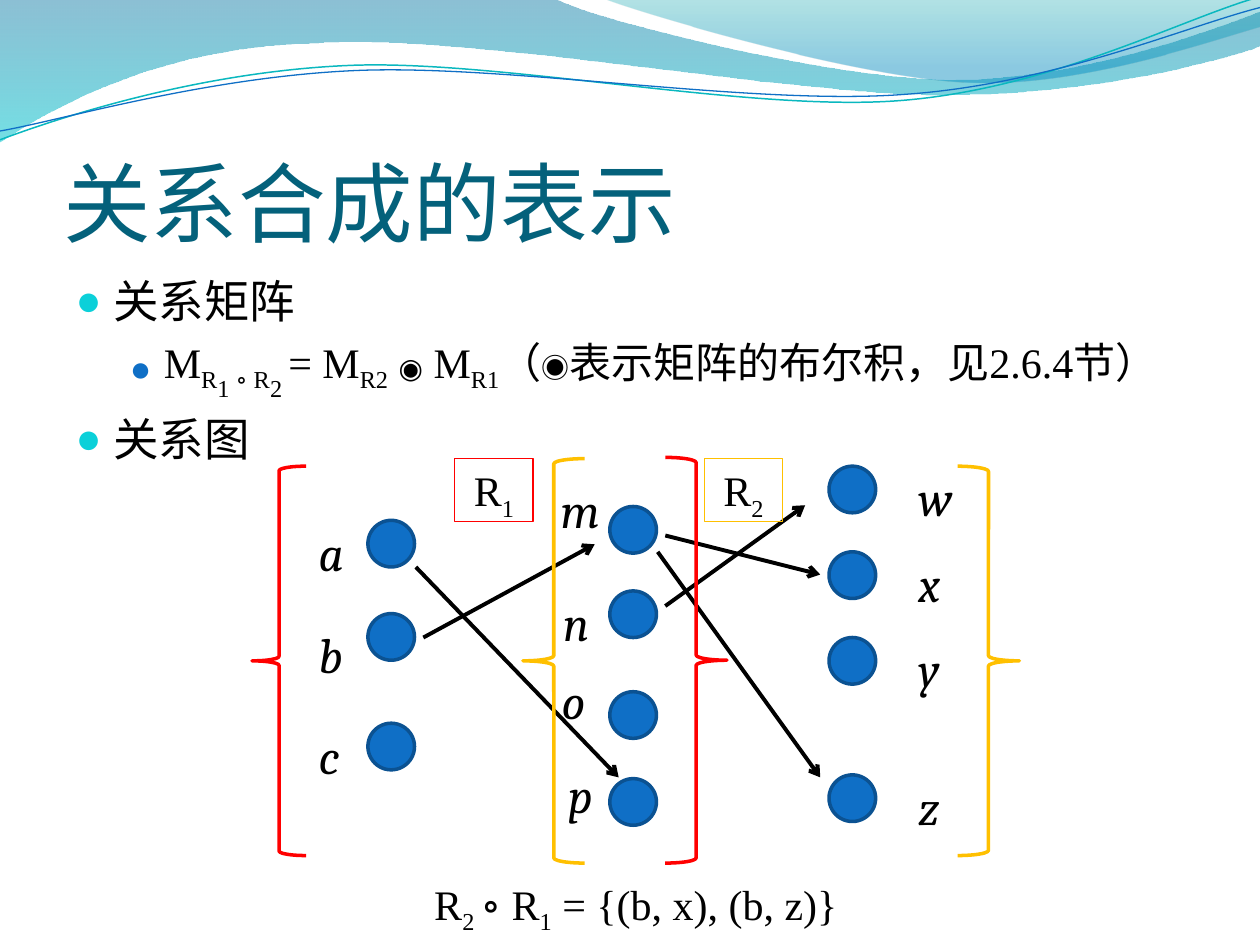
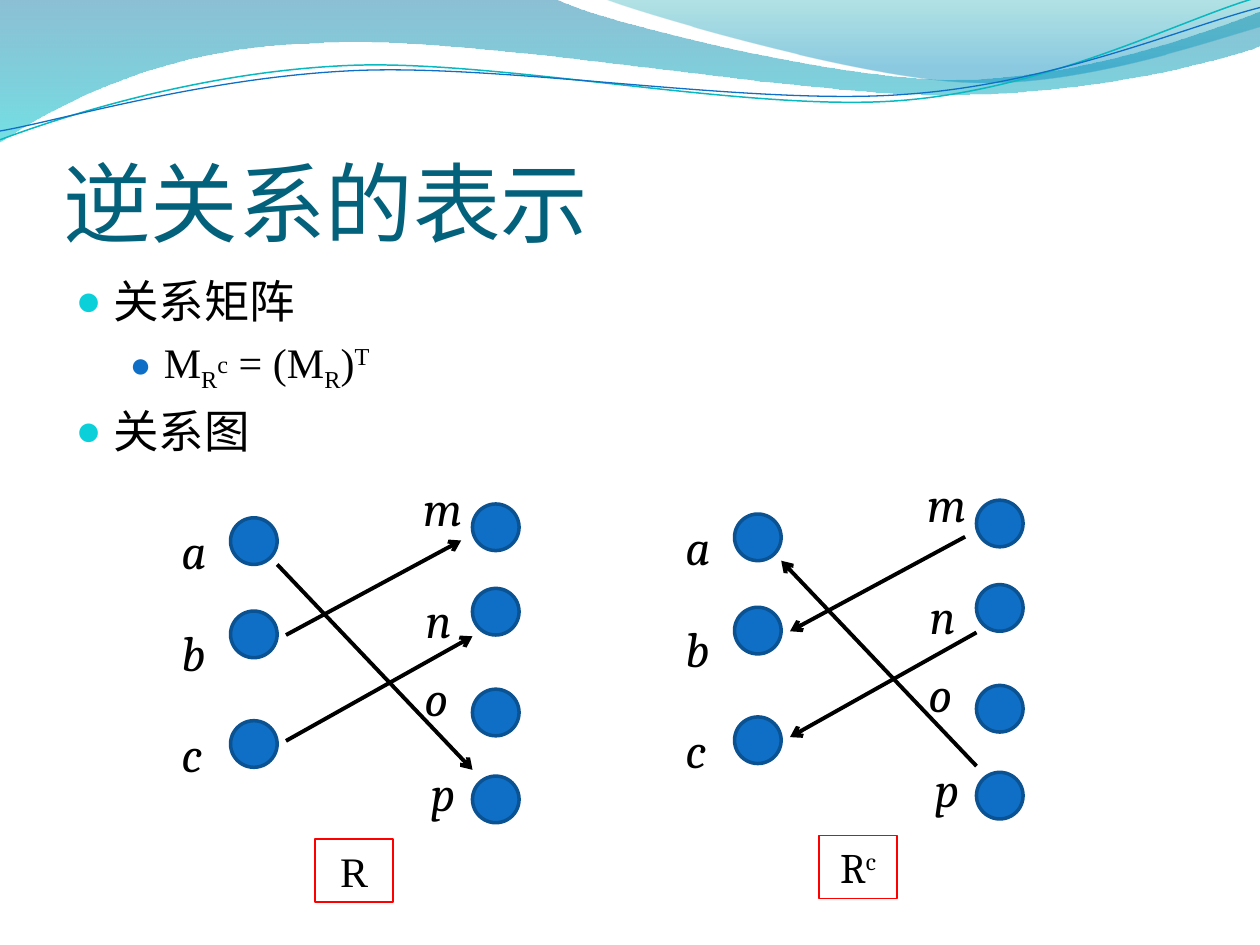
from lxml import etree
from pptx import Presentation
from pptx.dml.color import RGBColor
from pptx.enum.shapes import MSO_CONNECTOR, MSO_SHAPE
from pptx.enum.text import MSO_ANCHOR, MSO_AUTO_SIZE, PP_ALIGN
from pptx.oxml import parse_xml
from pptx.oxml.ns import nsdecls, qn
from pptx.util import Inches, Pt

TITLE_COLOR, BLACK = "04617B", "000000"
BLUE, DARK_BLUE, CYAN = "0F6FC6", "0B5292", "0BD0D9"
RED, GOLD = "FF0000", "FFC000"
CJK_FONT, SERIF, LETTER_FONT = "Noto Sans CJK SC", "Times New Roman", "Cambria"
SUB, SUBSUB, SUP = -25, -45, 30
NODE = 0.37

# Nodes and labels of the relation from {a, b, c} to {m, n, o, p}
NODES = [(1.83, y) for y in (4.11, 4.85, 5.72)] + [
    (3.75, y) for y in (4.0, 4.67, 5.47, 6.16)]
LETTERS = {
    "a": (1.34, 4.08), "b": (1.34, 4.89), "c": (1.34, 5.69),
    "m": (3.26, 3.74), "n": (3.28, 4.63), "o": (3.27, 5.25), "p": (3.32, 6.0)}
B_TO_M = (2.27, 5.04, 3.66, 4.29)
A_TO_P = (2.2, 4.48, 3.75, 6.11)
C_TO_N = (2.27, 5.88, 3.75, 5.05)

# Bullet levels: left margin, hanging indent, colour, bullet size in percent
LEVELS = [(0.3, -0.3, CYAN, 95), (0.7, -0.27, BLUE, 85)]


def color(hex_code):
    return RGBColor.from_string(hex_code)


def inches(*lengths):
    return [Inches(length) for length in lengths]


def add_wave(slide, start, *segments, closed=False):
    """Draw an outline; a pair is a straight segment, six numbers a curve."""
    builder = slide.shapes.build_freeform(*inches(*start), scale=1.0)
    builder.add_line_segments([inches(*segment[-2:]) for segment in segments], closed)
    wave = builder.convert_to_shape()
    wave.shadow.inherit = False
    straight_lines = list(wave._element.iter(qn("a:lnTo")))
    for straight, segment in zip(straight_lines, segments):
        if len(segment) == 6:
            curve = etree.Element(qn("a:cubicBezTo"))
            for x, y in zip(segment[::2], segment[1::2]):
                etree.SubElement(curve, qn("a:pt"), x=str(Inches(x) - wave.left),
                                 y=str(Inches(y) - wave.top))
            straight.getparent().replace(straight, curve)
    return wave


def fill_gradient(wave, *stops):
    """Fill downwards with stops of position, colour and opacity in percent."""
    wave.line.fill.background()
    stop_xml = "".join(
        f'<a:gs pos="{position * 1000}"><a:srgbClr val="{hex_code}">'
        f'<a:alpha val="{opacity * 1000}"/></a:srgbClr></a:gs>'
        for position, hex_code, opacity in stops)
    gradient = parse_xml(
        f'<a:gradFill {nsdecls("a")} rotWithShape="1"><a:gsLst>{stop_xml}</a:gsLst>'
        '<a:lin ang="5400000" scaled="0"/></a:gradFill>')
    wave._element.spPr.find(qn("a:custGeom")).addnext(gradient)


def outline(shape, hex_code, width):
    shape.line.color.rgb = color(hex_code)
    shape.line.width = Pt(width)


def add_header_waves(slide, layout):
    """Draw the waves and hand them to the layout that all slides share."""
    broad = add_wave(
        slide, (0, 0), (4.4, -0.01), (4.76, 0.17, 6.64, 0.63, 7.58, 0.63),
        (8.53, 0.63, 9.58, 0.26, 10, 0.09), (10.01, 0.36),
        (9.83, 0.44, 8.7, 0.76, 7.46, 0.75), (6.22, 0.75, 3.82, 0.28, 2.57, 0.34),
        (1.29, 0.36, 0.46, 0.83, -0.01, 1.13), closed=True)
    fill_gradient(broad, (0, "0074A1", 45), (100, "00C6CF", 55))
    right = add_wave(
        slide, (4.79, -0.01), (5.09, 0.11, 6.82, 0.62, 7.69, 0.65),
        (8.56, 0.69, 9.61, 0.32, 10, 0.21), (10, 0), closed=True)
    fill_gradient(right, (0, "00A1A9", 30), (80, "008BBF", 45))
    teal = add_wave(
        slide, (0, 1.11), (0.48, 0.93, 1.58, 0.57, 2.77, 0.52),
        (3.95, 0.47, 5.93, 0.89, 7.13, 0.8), (8.33, 0.71, 9.38, 0.15, 9.98, -0.02))
    blue = add_wave(
        slide, (0, 1.04), (0.47, 0.96, 1.64, 0.61, 2.83, 0.56),
        (4.03, 0.51, 5.97, 0.84, 7.17, 0.75), (8.36, 0.67, 9.41, 0.21, 10, 0.06))
    for thread, hex_code, width in ((teal, "0AB8BF", 0.85), (blue, BLUE, 0.75)):
        thread.fill.background()
        outline(thread, hex_code, width)
    for index, wave in enumerate((broad, right, teal, blue)):
        wave._element.nvSpPr.cNvPr.set("id", str(20 + index))
        layout.shapes._spTree.insert(2 + index, wave._element)


def write(paragraph, pieces, size, font=SERIF, hex_code=BLACK, italic=False):
    """Add runs; a piece is a string or (text, baseline percent[, size])."""
    for piece in pieces:
        text, baseline, *own_size = (piece, 0) if isinstance(piece, str) else piece
        run = paragraph.add_run()
        run.text = text
        run.font.size = Pt(own_size[0] if own_size else size)
        run.font.name = font
        run.font.italic = italic
        run.font.color.rgb = color(hex_code)
        properties = run._r.get_or_add_rPr()
        if baseline:
            properties.set("baseline", str(baseline * 1000))
        east_asian = etree.Element(qn("a:ea"), typeface=CJK_FONT)
        properties.find(qn("a:latin")).addnext(east_asian)


def set_bullet(paragraph, level):
    margin, indent, hex_code, percent = LEVELS[level]
    paragraph.level = level
    properties = paragraph._p.get_or_add_pPr()
    properties.set("marL", str(Inches(margin)))
    properties.set("indent", str(Inches(indent)))
    for xml in (
            f'<a:spcBef {nsdecls("a")}><a:spcPct val="20000"/></a:spcBef>',
            f'<a:buClr {nsdecls("a")}><a:srgbClr val="{hex_code}"/></a:buClr>',
            f'<a:buSzPct {nsdecls("a")} val="{percent * 1000}"/>',
            f'<a:buChar {nsdecls("a")} char="●"/>'):
        properties.append(parse_xml(xml))


def place(shape, left, top, width, height):
    shape.left, shape.top, shape.width, shape.height = inches(left, top, width, height)


def fill_placeholders(slide, heading, matrix_formula):
    title, body = slide.shapes.title, slide.placeholders[1]
    place(title, 0.5, 0.77, 9, 1.25)
    frame = title.text_frame
    frame.auto_size = MSO_AUTO_SIZE.NONE
    frame.vertical_anchor = MSO_ANCHOR.BOTTOM
    frame.margin_left = frame.margin_right = frame.margin_bottom = 0
    frame.margin_top = Inches(0.05)
    frame.paragraphs[0].alignment = PP_ALIGN.LEFT
    write(frame.paragraphs[0], [heading], 50, CJK_FONT, TITLE_COLOR)

    place(body, 0.5, 2.12, 9, 4.8)
    frame = body.text_frame
    frame.auto_size = MSO_AUTO_SIZE.NONE
    items = ((0, ["关系矩阵"], 26), (1, matrix_formula, 24), (0, ["关系图"], 26))
    for index, (level, pieces, size) in enumerate(items):
        paragraph = frame.add_paragraph() if index else frame.paragraphs[0]
        set_bullet(paragraph, level)
        write(paragraph, pieces, size)


def add_text(parent, box, pieces, size, font=SERIF, italic=False, align=PP_ALIGN.CENTER):
    textbox = parent.shapes.add_textbox(*inches(*box))
    textbox.text_frame.word_wrap = True
    paragraph = textbox.text_frame.paragraphs[0]
    paragraph.alignment = align
    write(paragraph, pieces, size, font, italic=italic)
    return textbox


def add_letter(graph, letter, x, y):
    add_text(graph, (x, y, 0.31, 0.42), [letter], 28, LETTER_FONT, True, PP_ALIGN.LEFT)


def add_relation_name(graph, x, y, pieces, border=RED, font=SERIF):
    outline(add_text(graph, (x, y, 0.62, 0.5), pieces, 24, font), border, 0.75)


def add_node(graph, x, y):
    node = graph.shapes.add_shape(MSO_SHAPE.OVAL, *inches(x, y, NODE, NODE))
    node.shadow.inherit = False
    node.fill.solid()
    node.fill.fore_color.rgb = color(BLUE)
    outline(node, DARK_BLUE, 2)


def add_arrow(graph, x1, y1, x2, y2):
    arrow = graph.shapes.add_connector(MSO_CONNECTOR.STRAIGHT, *inches(x1, y1, x2, y2))
    outline(arrow, BLACK, 2.25)
    etree.SubElement(arrow.line._get_or_add_ln(), qn("a:tailEnd"), type="arrow")
    etree.SubElement(arrow._element.spPr, qn("a:effectLst"))


def add_brace(graph, kind, box, hex_code):
    brace = graph.shapes.add_shape(kind, *inches(*box))
    brace.shadow.inherit = False
    brace.fill.background()
    outline(brace, hex_code, 2)


def add_relation_graph(slide, dx, dy, arrows, inverse=False):
    """Group the two node columns, moved by dx and dy, with the given arrows."""
    graph = slide.shapes.add_group_shape()
    for x, y in NODES:
        add_node(graph, x + dx, y + dy)
    for letter, (x, y) in LETTERS.items():
        add_letter(graph, letter, x + dx, y + dy)
    for x1, y1, x2, y2 in arrows:
        start, end = (x1 + dx, y1 + dy), (x2 + dx, y2 + dy)
        if inverse:
            start, end = end, start
        add_arrow(graph, *start, *end)
    return graph


def build_composition(slide):
    fill_placeholders(slide, "关系合成的表示", [
        "M", ("R", SUB), ("1", SUBSUB), (" ∘ R", SUB), ("2 ", SUBSUB), "= M",
        ("R2", SUB), " ", ("◉", 0, 16), " M", ("R1", SUB), "（", ("◉", 0, 16),
        "表示矩阵的布尔积，见2.6.4节）"])
    graph = add_relation_graph(
        slide, 1.09, 0.02, [(2.27, 5.04, 3.63, 4.3), (2.21, 4.48, 3.82, 6.15)])
    for letter, y in zip("wxyz", (3.7, 4.38, 5.06, 6.15)):
        add_node(graph, 6.58, y)
        add_letter(graph, letter, 7.19, y - 0.04)
    for arrow in ((5.28, 4.81, 6.39, 4.01), (5.28, 4.25, 6.51, 4.56),
                  (5.22, 4.38, 6.51, 6.17)):
        add_arrow(graph, *arrow)
    add_relation_name(graph, 3.61, 3.64, ["R", ("1", SUB)])
    add_relation_name(graph, 5.59, 3.64, ["R", ("2", SUB)], GOLD)
    left, right = MSO_SHAPE.LEFT_BRACE, MSO_SHAPE.RIGHT_BRACE
    add_brace(graph, right, (5.28, 3.63, 0.49, 3.22), RED)
    add_brace(graph, left, (2, 3.7, 0.43, 3.09), RED)
    add_brace(graph, right, (7.6, 3.7, 0.49, 3.09), GOLD)
    add_brace(graph, left, (4.15, 3.64, 0.49, 3.21), GOLD)
    add_text(slide, (2.42, 6.92, 5.17, 0.5), [
        " R", ("2 ", SUB), "∘ R", ("1", SUB), " = {(b, x), (b, z)}"], 24)


def build_inverse(slide):
    fill_placeholders(slide, "逆关系的表示", [
        "M", ("R", SUB), ("c", 12), " = (M", ("R", SUB), ")", ("T", SUP)])
    arrows = [B_TO_M, A_TO_P, C_TO_N]
    relation = add_relation_graph(slide, 0, 0, arrows)
    add_relation_name(relation, 2.5, 6.66, ["R"])
    converse = add_relation_graph(slide, 4, -0.03, arrows, inverse=True)
    add_relation_name(converse, 6.5, 6.63, ["R", ("c", SUP)], font=LETTER_FONT)


def main():
    deck = Presentation()
    deck.slide_width, deck.slide_height = inches(10, 7.5)
    layout = deck.slide_layouts[1]
    composition, inverse = (deck.slides.add_slide(layout) for _ in range(2))
    add_header_waves(composition, layout)
    build_composition(composition)
    build_inverse(inverse)
    deck.save("out.pptx")


if __name__ == "__main__":
    main()
